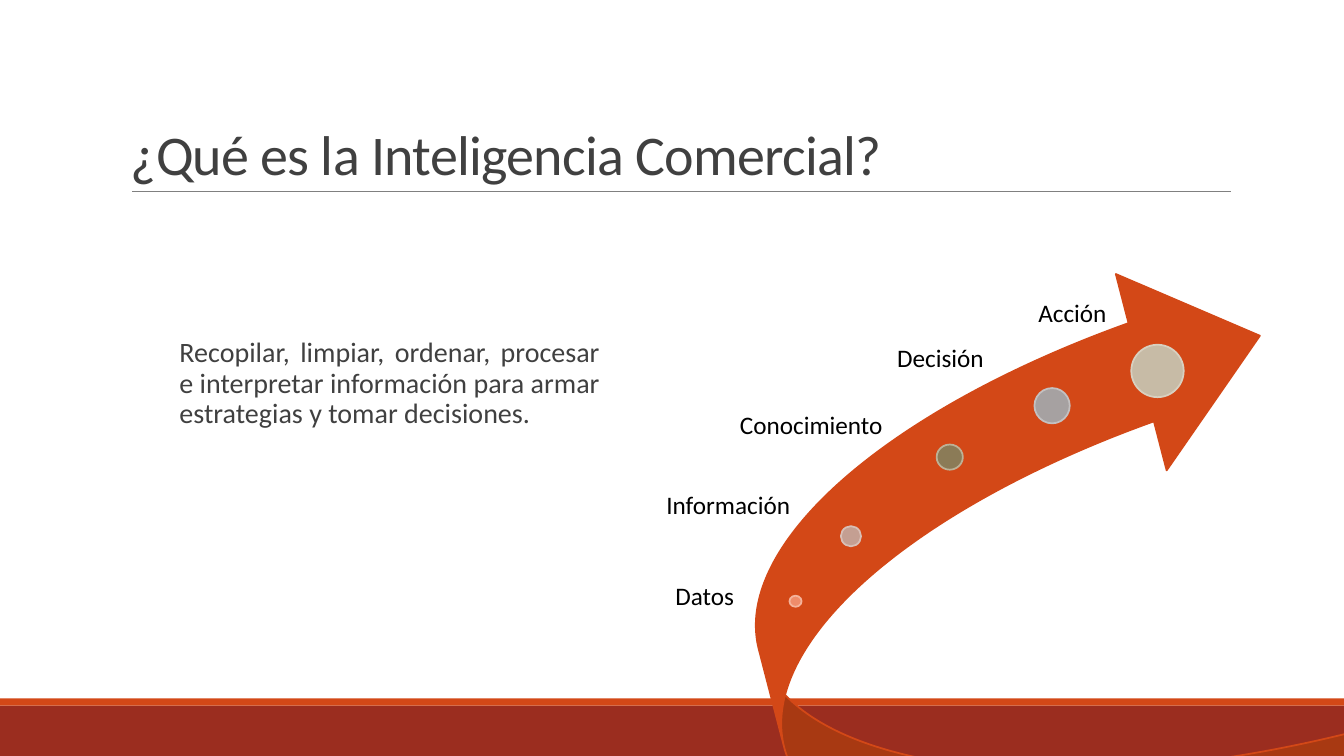
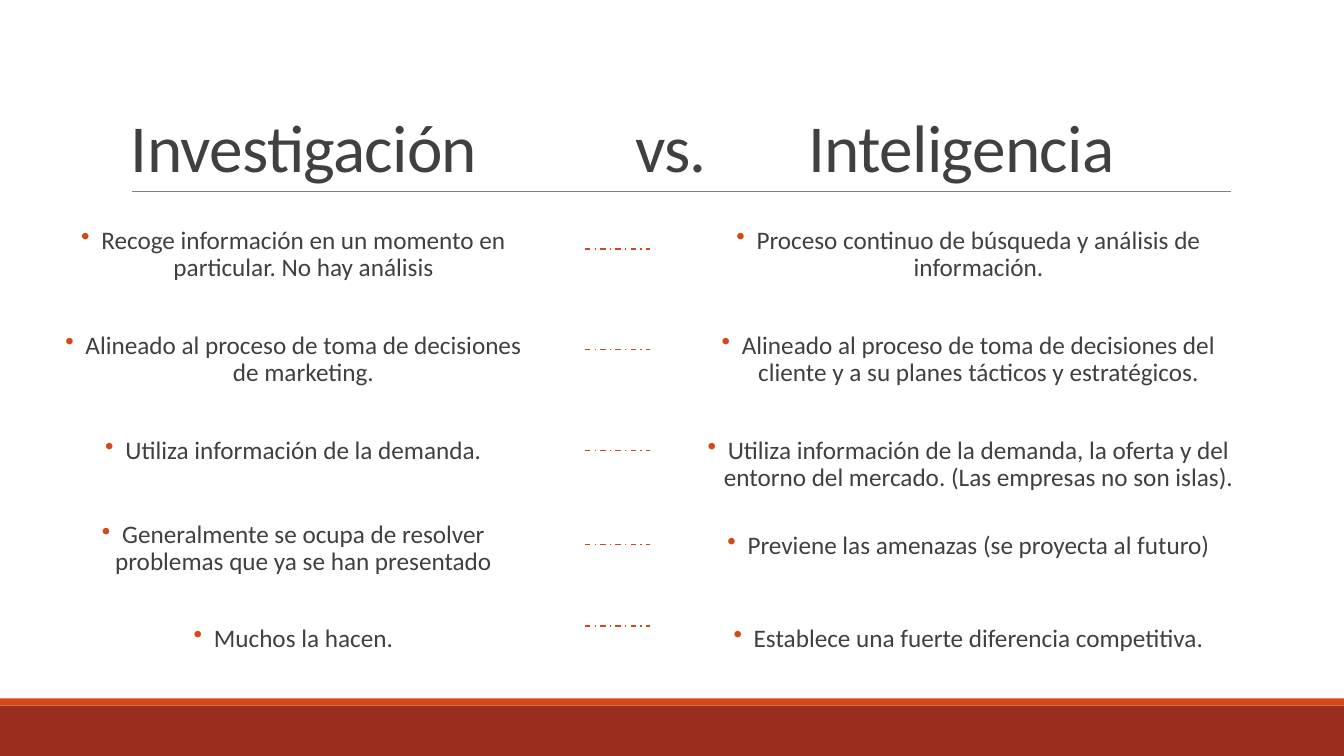
from dataclasses import dataclass

from lxml import etree
from pptx import Presentation
from pptx import util as u
from pptx.dml import color
from pptx.enum import dml, shapes, text
from pptx.oxml import ns


@dataclass(frozen=True)
class Theme:
    font: str = "Calibri"
    ink: str = "404040"
    black: str = "000000"
    rule: str = "808080"
    accent: str = "D34817"
    band: str = "9B2D1F"
    title_size: int = 40
    large_title_size: int = 48
    body_size: int = 20
    label_size: int = 18


THEME = Theme()
ALIGN = text.PP_ALIGN


def rgb(value):
    return color.RGBColor.from_string(value)


def add_child(parent, tag, **attributes):
    element = etree.SubElement(parent, ns.qn(tag))
    for name, value in attributes.items():
        element.set(name, str(value))
    return element


def format_paragraph(paragraph, words, size, ink, align=ALIGN.LEFT, line_spacing=None,
                     before=0, indent=0, bullet=None, tabs=(), tracking=None):
    """Write the words into a paragraph and give them their format."""
    properties = paragraph._p.get_or_add_pPr()
    if indent:
        properties.set("marL", str(u.Inches(indent)))
    if bullet:
        properties.set("indent", str(-u.Inches(indent)))
        bullet_color = add_child(properties, "a:buClr")
        add_child(bullet_color, "a:srgbClr", val=THEME.accent)
        add_child(properties, "a:buChar", char=bullet)
    if tabs:
        tab_list = add_child(properties, "a:tabLst")
        for position in tabs:
            add_child(tab_list, "a:tab", pos=u.Inches(position), algn="l")
    paragraph.alignment = align
    paragraph.space_before = u.Pt(before)
    if line_spacing:
        paragraph.line_spacing = line_spacing
    run = paragraph.add_run()
    run.text = words
    run.font.name = THEME.font
    run.font.size = u.Pt(size)
    run.font.color.rgb = rgb(ink)
    if tracking:
        run._r.get_or_add_rPr().set("spc", str(round(tracking * 100)))


class Deck:
    """Holds the presentation, its style and the current slide."""

    def __init__(self, theme):
        self.theme = theme
        self.presentation = Presentation()
        self.presentation.slide_width = u.Inches(13.33)
        self.presentation.slide_height = u.Inches(7.5)
        self.slide = None

    def new_slide(self, title, size, tabs=()):
        theme = self.theme
        self.slide = self.presentation.slides.add_slide(self.presentation.slide_layouts[6])
        # Footer bands and title rule
        self.shape(shapes.MSO_SHAPE.RECTANGLE, 0, 7, 13.33, 0.5, theme.band)
        self.shape(shapes.MSO_SHAPE.RECTANGLE, 0, 6.93, 13.33, 0.07, theme.accent)
        self.line(1.31, 12.21, 1.9, theme.rule, 0.5)
        # Title
        frame = self.text_frame(1.2, 0.31, 11, 1.59, anchor=text.MSO_ANCHOR.BOTTOM)
        format_paragraph(frame.paragraphs[0], title, size, theme.ink,
                         line_spacing=0.85, tabs=tabs, tracking=-0.5)

    def shape(self, kind, left, top, width, height, fill, line=None):
        shape = self.slide.shapes.add_shape(
            kind, u.Inches(left), u.Inches(top), u.Inches(width), u.Inches(height))
        shape.shadow.inherit = False
        shape.fill.solid()
        shape.fill.fore_color.rgb = rgb(fill)
        if line:
            shape.line.color.rgb = rgb(line)
            shape.line.width = u.Pt(1.25)
        else:
            shape.line.fill.background()
        return shape

    def line(self, left, right, top, ink, width, dash=None):
        connector = self.slide.shapes.add_connector(
            shapes.MSO_CONNECTOR.STRAIGHT,
            u.Inches(left), u.Inches(top), u.Inches(right), u.Inches(top))
        connector.line.color.rgb = rgb(ink)
        connector.line.width = u.Pt(width)
        if dash:
            connector.line.dash_style = dash
        add_child(connector._element.spPr, "a:effectLst")

    def text_frame(self, left, top, width, height, side=0.1, anchor=text.MSO_ANCHOR.TOP):
        box = self.slide.shapes.add_textbox(
            u.Inches(left), u.Inches(top), u.Inches(width), u.Inches(height))
        frame = box.text_frame
        frame.word_wrap = True
        frame.vertical_anchor = anchor
        frame.margin_left = frame.margin_right = u.Inches(side)
        frame.margin_top = frame.margin_bottom = u.Inches(0.05)
        return frame

    def body(self, left, top, width, height, words):
        frame = self.text_frame(left, top, width, height, side=0)
        format_paragraph(frame.paragraphs[0], words, self.theme.body_size, self.theme.ink,
                         align=ALIGN.JUSTIFY, line_spacing=0.9, indent=0.1)

    def label(self, left, top, width, words):
        frame = self.text_frame(left, top, width, 0.4)
        format_paragraph(frame.paragraphs[0], words, self.theme.label_size, self.theme.black)

    def bullets(self, left, width, items):
        """Each item is its text and the space before it, in points."""
        frame = self.text_frame(left, 2.21, width, 4.53, side=0)
        for index, (words, before) in enumerate(items):
            paragraph = frame.add_paragraph() if index else frame.paragraphs[0]
            format_paragraph(paragraph, words, self.theme.label_size, self.theme.ink,
                             align=ALIGN.CENTER, line_spacing=0.9, before=before,
                             indent=0.2, bullet="•")


# Label with left, top, width; dot with left, top, width, height, fill, line
STAGES = [
    ("Datos", (6.6, 5.71, 0.9), (7.83, 5.91, 0.12, 0.11, "EF8C6A", "F4B39B")),
    ("Información", (6.51, 4.81, 1.55), (8.34, 5.22, 0.2, 0.2, "C49F92", "D8BFB6")),
    ("Conocimiento", (7.24, 4.01, 1.75), (9.29, 4.41, 0.26, 0.25, "8B7B57", "BDB196")),
    ("Decisión", (8.8, 3.35, 1.2), (10.26, 3.85, 0.35, 0.35, "A6A1A1", "C3C1C1")),
    ("Acción", (10.2, 2.9, 1), (11.22, 3.42, 0.52, 0.52, "C7BBA6", "D8D0C0")),
]

RESEARCH = [
    ("Recoge información en un momento en particular. No hay análisis", 0),
    ("Alineado al proceso de toma de decisiones de marketing.", 36),
    ("Utiliza información de la demanda.", 36),
    ("Generalmente se ocupa de resolver problemas que ya se han presentado", 41),
    ("Muchos la hacen.", 35),
]

INTELLIGENCE = [
    ("Proceso continuo de búsqueda y análisis de información.", 0),
    ("Alineado al proceso de toma de decisiones del cliente y a su planes "
     "tácticos y estratégicos.", 36),
    ("Utiliza información de la demanda, la oferta y del entorno del mercado. "
     "(Las empresas no son islas).", 36),
    ("Previene las amenazas (se proyecta al futuro)", 29),
    ("Establece una fuerte diferencia competitiva.", 47),
]


def add_definition(deck):
    deck.new_slide("¿Qué es la Inteligencia Comercial?", THEME.title_size)
    deck.body(1.68, 3.31, 4.27, 2.79,
              "Recopilar, limpiar, ordenar, procesar e interpretar información "
              "para armar estrategias y tomar decisiones.")
    # Rising arrow
    arrow = deck.shape(shapes.MSO_SHAPE.CURVED_DOWN_ARROW, 7.27, 3.19, 6.05, 5.59,
                       THEME.accent, THEME.accent)
    arrow.rotation = 255.5
    for index, value in enumerate((0.18, 0.36, 0.22)):
        arrow.adjustments[index] = value
    # Stages along the arrow
    for words, place, dot in STAGES:
        deck.shape(shapes.MSO_SHAPE.OVAL, *dot)
        deck.label(*place, words)


def add_comparison(deck):
    deck.new_slide("Investigación\tvs.\tInteligencia", THEME.large_title_size, tabs=(5, 6.72))
    deck.bullets(0.58, 4.66, RESEARCH)
    deck.bullets(6.8, 5.61, INTELLIGENCE)
    # Dashes that pair the rows
    for top in (2.47, 3.47, 4.47, 5.4, 6.21):
        deck.line(5.8, 6.45, top, THEME.accent, 1, dml.MSO_LINE.DASH_DOT)


def main():
    deck = Deck(THEME)
    add_definition(deck)
    add_comparison(deck)
    deck.presentation.save("out.pptx")


if __name__ == "__main__":
    main()
